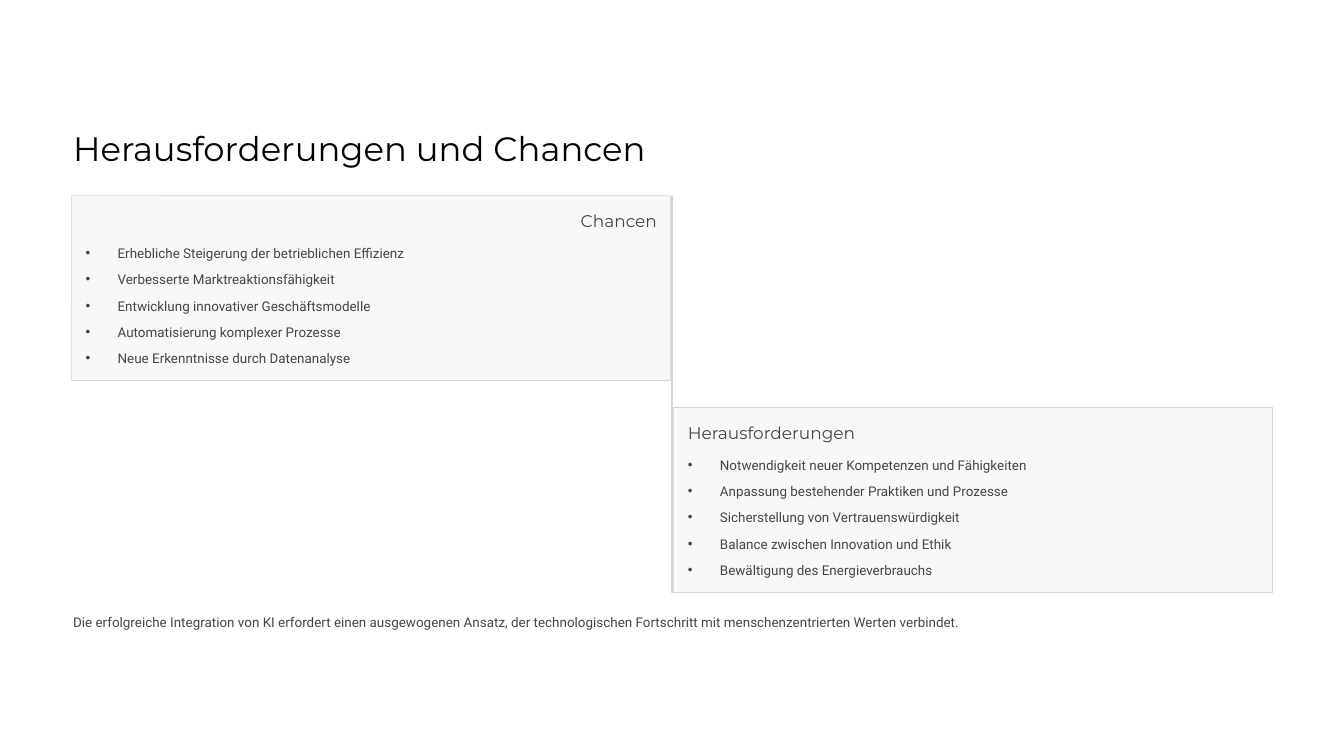
from lxml.etree import SubElement
from pptx import Presentation
from pptx.dml.color import RGBColor
from pptx.enum.shapes import MSO_SHAPE
from pptx.enum.text import MSO_ANCHOR, MSO_AUTO_SIZE, PP_ALIGN
from pptx.oxml.ns import qn
from pptx.util import Inches, Pt

BLACK = RGBColor(0x03, 0x03, 0x03)
GREY = RGBColor(0x46, 0x46, 0x46)
PANEL = RGBColor(0xF9, 0xF7, 0xF7)
BORDER = RGBColor(0xD8, 0xD4, 0xD4)

CHANCES = [
    "Erhebliche Steigerung der betrieblichen Effizienz",
    "Verbesserte Marktreaktionsfähigkeit",
    "Entwicklung innovativer Geschäftsmodelle",
    "Automatisierung komplexer Prozesse",
    "Neue Erkenntnisse durch Datenanalyse",
]
CHALLENGES = [
    "Notwendigkeit neuer Kompetenzen und Fähigkeiten",
    "Anpassung bestehender Praktiken und Prozesse",
    "Sicherstellung von Vertrauenswürdigkeit",
    "Balance zwischen Innovation und Ethik",
    "Bewältigung des Energieverbrauchs",
]
CLOSING = (
    "Die erfolgreiche Integration von KI erfordert einen ausgewogenen Ansatz, "
    "der technologischen Fortschritt mit menschenzentrierten Werten verbindet."
)


class SlideBuilder:
    heading_font = "Montserrat"
    body_font = "Roboto"
    body_size = 11.5
    body_leading = 18.5

    def __init__(self, slide):
        self.slide = slide

    def panel(self, kind, left, top, width, height, fill, line=None, rounding=None):
        shape = self.slide.shapes.add_shape(
            kind, Inches(left), Inches(top), Inches(width), Inches(height)
        )
        shape.shadow.inherit = False
        shape.fill.solid()
        shape.fill.fore_color.rgb = fill
        if line is None:
            shape.line.fill.background()
        else:
            shape.line.color.rgb = line
            shape.line.width = Pt(0.6)
        if rounding is not None:
            shape.adjustments[0] = rounding

    def set_text(self, shape, box, lines, font, size, leading, color=GREY,
                 align=PP_ALIGN.LEFT, gap=0, bullets=False):
        shape.left, shape.top, shape.width, shape.height = map(Inches, box)
        frame = shape.text_frame
        frame.text = "\n".join(lines)
        frame.word_wrap = True
        frame.auto_size = MSO_AUTO_SIZE.NONE
        frame.vertical_anchor = MSO_ANCHOR.TOP
        frame.margin_left = frame.margin_right = 0
        frame.margin_top = frame.margin_bottom = 0
        for paragraph in frame.paragraphs:
            if bullets:
                self.bullet(paragraph)
            paragraph.alignment = align
            paragraph.line_spacing = Pt(leading)
            paragraph.space_before = Pt(0)
            paragraph.space_after = Pt(gap)
            for run in paragraph.runs:
                run.font.name = font
                run.font.size = Pt(size)
                run.font.bold = False
                run.font.color.rgb = color

    def bullet(self, paragraph):
        properties = paragraph._p.get_or_add_pPr()
        properties.set("marL", str(Inches(0.38)))
        properties.set("indent", str(Inches(-0.38)))
        SubElement(properties, qn("a:buChar")).set("char", "•")

    def placeholder(self, index, box, lines, font, size, leading, **style):
        shape = self.slide.placeholders[index]
        shape.element.getparent().append(shape.element)
        self.set_text(shape, box, lines, font, size, leading, **style)

    def title(self, text):
        self.placeholder(0, (0.87, 1.5, 6.97, 0.5), [text],
                         self.heading_font, 29, 36, color=BLACK)

    def heading(self, index, left, top, text, align):
        self.placeholder(index, (left, top, 6.8, 0.25), [text],
                         self.heading_font, 14.5, 18, align=align)

    def bullet_list(self, index, left, top, items):
        self.placeholder(index, (left, top, 6.8, 1.52), items, self.body_font,
                         self.body_size, self.body_leading, gap=4.1, bullets=True)

    def card(self, index, kind, left, top, heading, items, align, rounding=None):
        self.panel(kind, left, top, 7.13, 2.2, PANEL, BORDER, rounding)
        self.heading(index, left + 0.17, top + 0.17, heading, align)
        self.bullet_list(index + 1, left + 0.17, top + 0.52, items)

    def note(self, text):
        shape = self.slide.shapes.add_textbox(0, 0, 0, 0)
        self.set_text(shape, (0.87, 7.24, 14.26, 0.26), [text], self.body_font,
                      self.body_size, self.body_leading)


def main():
    presentation = Presentation()
    presentation.slide_width = Inches(16)
    presentation.slide_height = Inches(9)
    comparison = presentation.slide_layouts.get_by_name("Comparison")
    builder = SlideBuilder(presentation.slides.add_slide(comparison))

    builder.title("Herausforderungen und Chancen")
    builder.panel(MSO_SHAPE.ROUNDED_RECTANGLE, 7.99, 2.33, 0.02, 4.73, BORDER, rounding=0.5)
    builder.card(1, MSO_SHAPE.ROUNDED_RECTANGLE, 0.85, 2.33, "Chancen", CHANCES,
                 PP_ALIGN.RIGHT, rounding=0.005)
    builder.card(3, MSO_SHAPE.RECTANGLE, 8.02, 4.85, "Herausforderungen", CHALLENGES,
                 PP_ALIGN.LEFT)
    builder.note(CLOSING)
    presentation.save("out.pptx")


if __name__ == "__main__":
    main()
